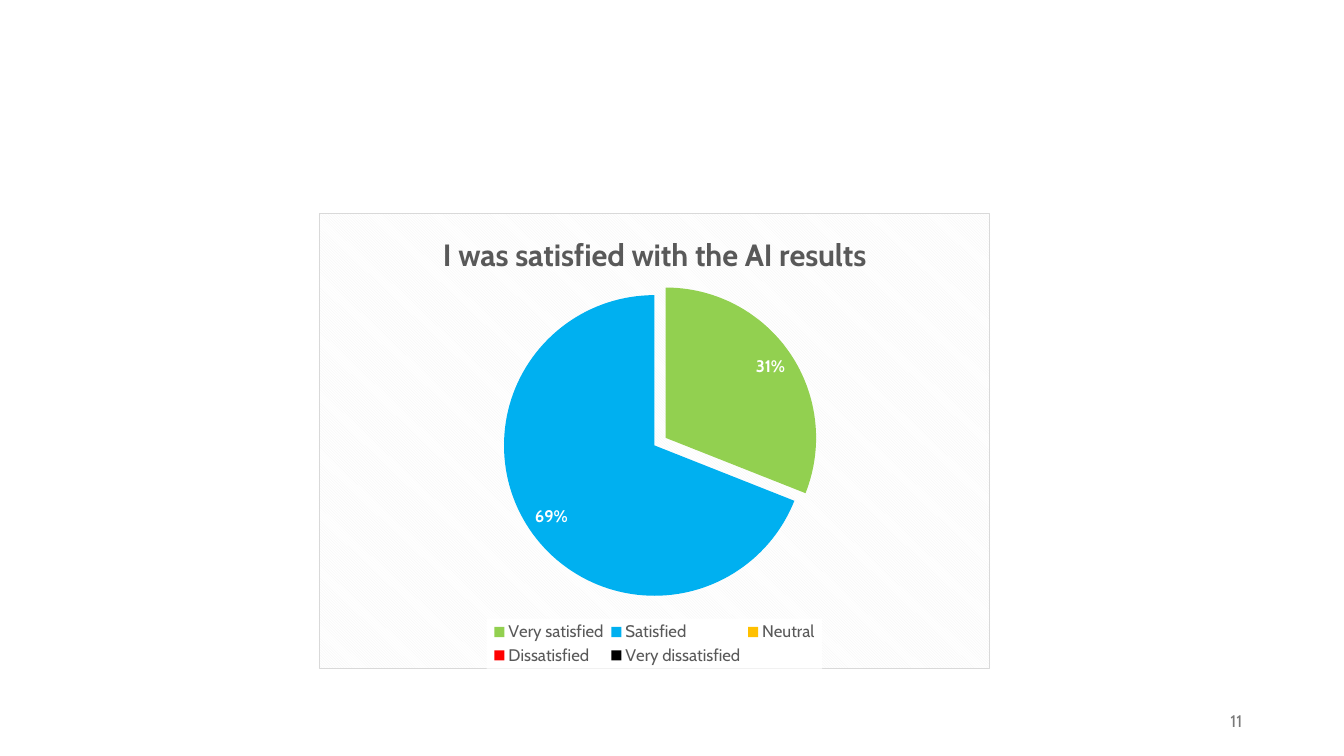
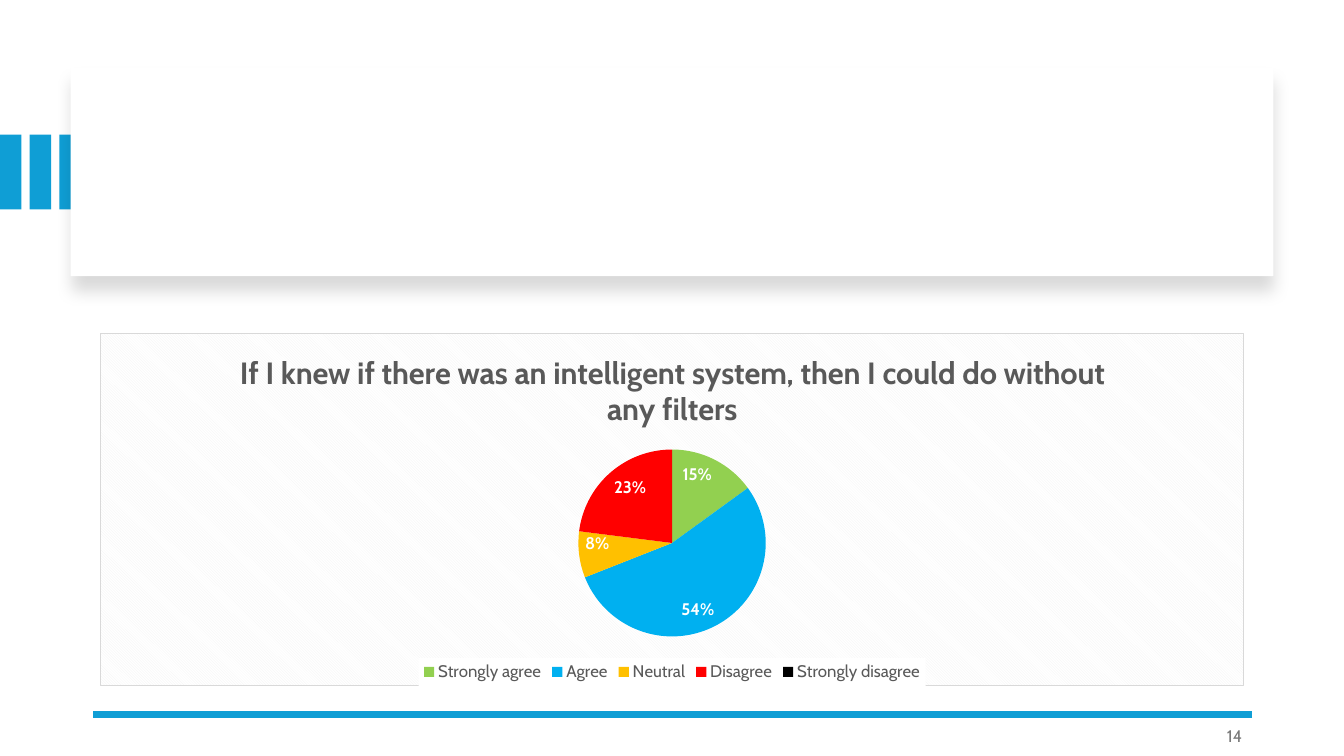
import pptx
import pptx.util
import pptx.chart.data
import pptx.dml.color
import pptx.enum.chart
import pptx.enum.dml
import pptx.enum.shapes
import pptx.enum.text
import pptx.oxml
import pptx.oxml.ns
from dataclasses import dataclass
from lxml import etree

Pt, Inches = pptx.util.Pt, pptx.util.Inches
XL = pptx.enum.chart


@dataclass(frozen=True)
class Theme:
    font: str = "Cabin"
    accent: str = "0F9ED5"
    paper: str = "FFFFFF"
    hatch: str = "F2F2F2"
    border: str = "D9D9D9"
    text: str = "595959"
    muted: str = "797979"
    shadow: str = "000000"
    slices: tuple = ("92D050", "00B0F0", "FFC000", "FF0000", "000000")
    title_size: int = 22
    body_size: int = 12
    rule_width: float = 4.5


T = Theme()
WIDTH, HEIGHT = Inches(13.33), Inches(7.5)


def box(x, y, w, h):
    """Turn percentages of the slide's size into left, top, width, height."""
    return [int(side * share / 100)
            for side, share in zip((WIDTH, HEIGHT, WIDTH, HEIGHT), (x, y, w, h))]


def rgb(color):
    return pptx.dml.color.RGBColor.from_string(color)


def xml(source):
    tag, rest = source.split(">", 1) if "/>" not in source.split(">")[0] + ">" \
        else (source[:-2], "")
    end = ">" if rest else "/>"
    return pptx.oxml.parse_xml(f"{tag} {pptx.oxml.ns.nsdecls('a', 'c')}{end}{rest}")


def set_font(font, size, color, bold=False):
    font.name, font.size, font.bold = T.font, Pt(size), bold
    font.color.rgb = rgb(color)


def add_rect(slide, place, color):
    sp = slide.shapes.add_shape(pptx.enum.shapes.MSO_SHAPE.RECTANGLE, *place)
    sp.shadow.inherit = False
    sp.fill.solid()
    sp.fill.fore_color.rgb = rgb(color)
    sp.line.fill.background()
    return sp


def add_panel(slide, place):
    """Add a white panel with a soft shadow below it."""
    sp = add_rect(slide, place, T.paper)
    effects = sp._element.spPr.find(pptx.oxml.ns.qn("a:effectLst"))
    effects.append(xml(
        f'<a:outerShdw blurRad="{Pt(11)}" dist="{Pt(10)}" dir="5400000" '
        f'algn="t" rotWithShape="0"><a:srgbClr val="{T.shadow}">'
        '<a:alpha val="15000"/></a:srgbClr></a:outerShdw>'))


def add_rule(slide, left, right, y):
    x, top, w, _ = box(left, y, right - left, 0)
    line = slide.shapes.add_connector(
        pptx.enum.shapes.MSO_CONNECTOR.STRAIGHT, x + w, top, x, top)
    line.line.color.rgb = rgb(T.accent)
    line.line.width = Pt(T.rule_width)
    etree.SubElement(line._element.spPr, pptx.oxml.ns.qn("a:effectLst"))


def add_page_number(slide, number, y):
    sp = slide.shapes.add_textbox(*box(70.67, y, 22.5, 5.33))
    tf = sp.text_frame
    tf.word_wrap = True
    tf.vertical_anchor = pptx.enum.text.MSO_ANCHOR.MIDDLE
    p = tf.paragraphs[0]
    p.text = str(number)
    p.alignment = pptx.enum.text.PP_ALIGN.RIGHT
    set_font(p.font, T.body_size, T.muted)


def layout(x, y, w, h, inner=False):
    """Fix a chart part's place, in shares of the chart's size."""
    target = '<c:layoutTarget val="inner"/>' if inner else ""
    modes = "".join(f'<c:{k}Mode val="edge"/>' for k in "xy")
    sizes = "".join(f'<c:{k} val="{v:.4f}"/>' for k, v in zip("xywh", (x, y, w, h)))
    return xml(f"<c:layout><c:manualLayout>{target}{modes}{sizes}"
               "</c:manualLayout></c:layout>")


def put_layout(parent, new, after=None):
    for old in parent.findall(pptx.oxml.ns.qn("c:layout")):
        parent.remove(old)
    if after is None:
        parent.insert(0, new)
    else:
        parent.find(pptx.oxml.ns.qn(after)).addnext(new)


def style_background(chart):
    space = chart._chartSpace
    space.find(pptx.oxml.ns.qn("c:chart")).addnext(xml(
        '<c:spPr><a:pattFill prst="dkDnDiag">'
        f'<a:fgClr><a:srgbClr val="{T.hatch}"/></a:fgClr>'
        f'<a:bgClr><a:srgbClr val="{T.paper}"/></a:bgClr></a:pattFill>'
        f'<a:ln w="{Pt(0.75)}"><a:solidFill><a:srgbClr val="{T.border}"/>'
        '</a:solidFill></a:ln></c:spPr>'))


def style_legend(chart, place):
    chart.has_legend = True
    legend = chart.legend
    legend.position = XL.XL_LEGEND_POSITION.BOTTOM
    legend.include_in_layout = False
    set_font(legend.font, T.body_size, T.text)
    element = legend._element
    if place:
        put_layout(element, layout(*place), after="c:legendPos")
    element.find(pptx.oxml.ns.qn("c:txPr")).addprevious(xml(
        f'<c:spPr><a:solidFill><a:srgbClr val="{T.paper}"/></a:solidFill></c:spPr>'))


def style_slices(series, values, explosion):
    for i, color in enumerate(T.slices):
        fill = series.points[i].format.fill
        fill.solid()
        fill.fore_color.rgb = rgb(color)
    if explosion:
        first = series._element.find(pptx.oxml.ns.qn("c:dPt"))
        first.find(pptx.oxml.ns.qn("c:spPr")).addprevious(
            xml(f'<c:explosion val="{explosion}"/>'))

    labels = series.data_labels
    labels.show_percentage, labels.show_value = True, False
    labels.number_format, labels.number_format_is_linked = "0%", False
    labels.position = XL.XL_LABEL_POSITION.INSIDE_END
    set_font(labels.font, T.body_size, T.paper, bold=True)
    empty = [i for i, value in enumerate(values) if value == 0]
    for i in reversed(empty):
        labels._element.insert(0, xml(
            f'<c:dLbl><c:idx val="{i}"/><c:delete val="1"/></c:dLbl>'))


def add_pie(slide, place, title, answers, pie_top, pie_height,
            explosion=0, legend_place=None):
    """Add a centred pie; its top and height are shares of the chart's height."""
    data = pptx.chart.data.CategoryChartData()
    data.categories = list(answers)
    values = list(answers.values())
    data.add_series(title, values)
    chart = slide.shapes.add_chart(XL.XL_CHART_TYPE.PIE, *place, data).chart
    set_font(chart.font, 10, T.shadow)
    style_background(chart)

    chart.has_title = True
    chart.chart_title.include_in_layout = False
    p = chart.chart_title.text_frame.paragraphs[0]
    p.text = title
    set_font(p.font, T.title_size, T.text, bold=True)

    style_legend(chart, legend_place)
    plot = chart.plots[0]
    plot.vary_by_categories = True
    style_slices(plot.series[0], values, explosion)

    _, _, w, h = place
    pie_width = pie_height * h / w
    area = chart._chartSpace.find(".//" + pptx.oxml.ns.qn("c:plotArea"))
    put_layout(area, layout((1 - pie_width) / 2, pie_top,
                            pie_width, pie_height, inner=True))


def satisfaction_slide(slide):
    answers = {"Very satisfied": 31, "Satisfied": 69, "Neutral": 0,
               "Dissatisfied": 0, "Very dissatisfied": 0}
    add_pie(slide, box(23.7, 28.13, 50, 60.4),
            "I was satisfied with the AI results", answers,
            pie_top=0.18, pie_height=0.66, explosion=9,
            legend_place=(0.25, 0.89, 0.5, 0.11))
    add_page_number(slide, 11, 92.67)


def filters_slide(slide):
    for i in range(3):
        add_rect(slide, box(2.21 * i, 17.8, 1.6, 9.9), T.accent)
    add_panel(slide, box(5.25, 8.93, 89.5, 27.6))
    add_rule(slide, 6.9, 93.17, 94.53)
    add_page_number(slide, 14, 94.67)
    answers = {"Strongly agree": 15, "Agree": 54, "Neutral": 8,
               "Disagree": 23, "Strongly disagree": 0}
    add_pie(slide, box(7.43, 44, 85.15, 46.8),
            "If I knew if there was an intelligent system, "
            "then I could do without any filters", answers,
            pie_top=0.33, pie_height=0.53)


def main():
    prs = pptx.Presentation()
    prs.slide_width, prs.slide_height = WIDTH, HEIGHT
    blank = prs.slide_layouts[6]
    for build in (satisfaction_slide, filters_slide):
        build(prs.slides.add_slide(blank))
    prs.save("out.pptx")


if __name__ == "__main__":
    main()
